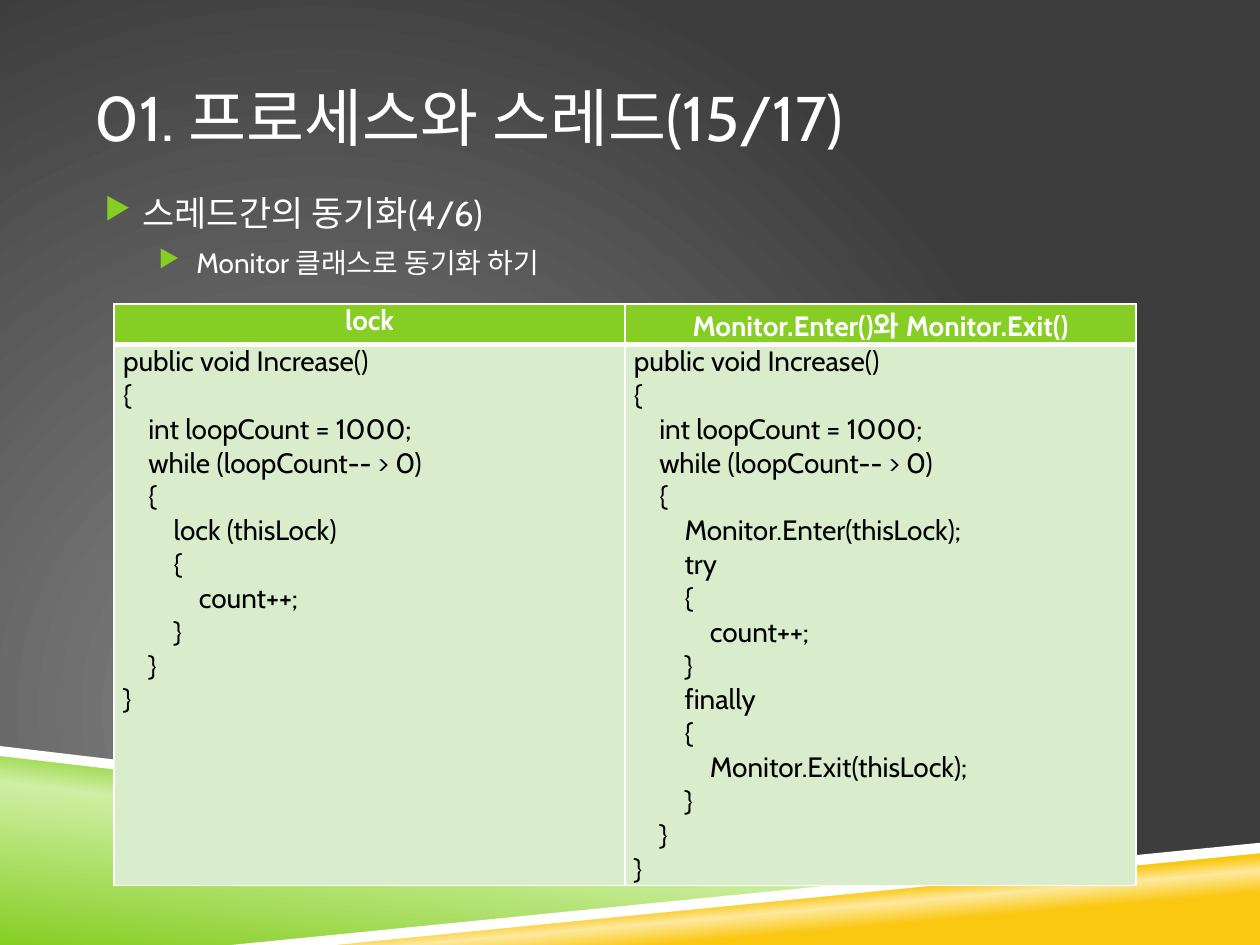
"""Build the slide that compares lock with the Monitor class."""
from lxml.etree import SubElement
from pptx import Presentation
from pptx.dml.color import RGBColor
from pptx.enum.text import MSO_ANCHOR as Anchor, PP_ALIGN as Align
from pptx.oxml.ns import qn
from pptx.util import Cm, Pt

FONT = "Cabin"
WHITE, BLACK, GREEN, PALE = "FFFFFF", "000000", "86CE24", "D9EDCD"
TITLE = "01. 프로세스와 스레드(15/17)"
BULLETS = [
    ("스레드간의 동기화(4/6)", 20, 0.97),
    ("Monitor 클래스로 동기화 하기", 16, 2.06),
]
LISTINGS = [
    ("lock", [
        "public void Increase()", "{", "int loopCount = 1000;",
        "while (loopCount-- > 0)", "{", "lock (thisLock)", "{",
        "count++;", "}", "}", "}",
    ]),
    ("Monitor.Enter()와 Monitor.Exit()", [
        "public void Increase()", "{", "int loopCount = 1000;",
        "while (loopCount-- > 0)", "{", "Monitor.Enter(thisLock);",
        "try", "{", "count++;", "}", "finally", "{",
        "Monitor.Exit(thisLock);", "}", "}", "}",
    ]),
]
BACKDROP = [(0, "878787"), (100, "3D3D3D")]
GREEN_STOPS = [(0, GREEN), (52, "CFEFA4"), (66, GREEN)]
GOLD_STOPS = [(28, "FAC810"), (40, "FDE99F"), (48, "FAC810")]
BANDS = [
    ([(0, 15.16), (20.12, 17.58), (5.08, 19.05), (0, 19.05)], GREEN_STOPS, 277),
    ([(5.03, 19.05), (25.4, 17.07), (25.4, 19.05)], GOLD_STOPS, 265),
    ([(0, 15.04), (0, 15.24), (20.07, 17.6), (21.13, 17.53)], None, None),
    ([(25.4, 16.99), (4.67, 19.05), (6.76, 19.05), (25.4, 17.2)], None, None),
]
TABLE_LEFT, TABLE_TOP, COLUMN_WIDTH = 2.3, 6.13, 10.3
ROW_HEIGHTS = (0.82, 10.9)
CODE_INDENT = 0.51


def color(value):
    return RGBColor.from_string(value)


def add_color(parent, value):
    SubElement(parent, qn("a:srgbClr"), val=value)


def use_gradient(parent, stops, angle=None):
    solid = parent.find(qn("a:solidFill"))
    gradient = SubElement(parent, qn("a:gradFill"), rotWithShape="1")
    parent.replace(solid, gradient)
    stop_list = SubElement(gradient, qn("a:gsLst"))
    for position, value in stops:
        add_color(SubElement(stop_list, qn("a:gs"), pos=str(position * 1000)), value)
    if angle is None:
        focus = SubElement(gradient, qn("a:path"), path="circle")
        SubElement(focus, qn("a:fillToRect"), l="50000", t="100000", r="100000", b="50000")
    else:
        SubElement(gradient, qn("a:lin"), ang=str(angle * 60000), scaled="0")


def add_band(page, points, stops, angle):
    corners = [(Cm(x), Cm(y)) for x, y in points]
    builder = page.shapes.build_freeform(*corners[0], scale=1.0)
    builder.add_line_segments(corners[1:], close=True)
    band = builder.convert_to_shape()
    band.shadow.inherit = False
    band.line.fill.background()
    band.fill.solid()
    band.fill.fore_color.rgb = color(WHITE)
    if stops:
        use_gradient(band.element.spPr, stops, angle)


def add_box(page, top, height, anchor):
    box = page.shapes.add_textbox(Cm(1.9), Cm(top), Cm(21.6), Cm(height))
    frame = box.text_frame
    frame.word_wrap = True
    frame.margin_left = frame.margin_right = 0
    frame.vertical_anchor = anchor
    return frame


def add_span(para, text, size, value, bold=False):
    span = para.add_run()
    span.text = text
    font = span.font
    font.name, font.size, font.bold = FONT, Pt(size), bold
    font.color.rgb = color(value)


def add_paras(frame, count):
    return [frame.paragraphs[0]] + [frame.add_paragraph() for _ in range(count - 1)]


def add_bullet(para, indent):
    para.space_before = Pt(7)
    props = para._p.get_or_add_pPr()
    props.set("marL", str(Cm(indent)))
    props.set("indent", str(-Cm(0.76)))
    add_color(SubElement(props, qn("a:buClr")), GREEN)
    SubElement(props, qn("a:buSzPct"), val="85000")
    SubElement(props, qn("a:buChar"), char="▶")


def style_cell(cell, fill, bottom):
    cell.margin_left = cell.margin_right = Cm(0.18)
    cell.margin_top = cell.margin_bottom = 0
    props = cell._tc.get_or_add_tcPr()
    for side, width in (("L", 1), ("R", 1), ("T", 1), ("B", bottom)):
        line = SubElement(props, qn(f"a:ln{side}"), w=str(Pt(width)))
        add_color(SubElement(line, qn("a:solidFill")), WHITE)
    cell.fill.solid()
    cell.fill.fore_color.rgb = color(fill)


def add_code(frame, lines):
    depth = 0
    for para, text in zip(add_paras(frame, len(lines)), lines):
        depth -= text == "}"
        para.alignment = Align.LEFT
        para._p.get_or_add_pPr().set("marL", str(Cm(CODE_INDENT * depth)))
        add_span(para, text, 16, BLACK)
        depth += text == "{"


def add_listings(page):
    count = len(LISTINGS)
    table = page.shapes.add_table(
        2, count, Cm(TABLE_LEFT), Cm(TABLE_TOP),
        Cm(COLUMN_WIDTH * count), Cm(sum(ROW_HEIGHTS))).table
    table.horz_banding = False
    for row, height in zip(table.rows, ROW_HEIGHTS):
        row.height = Cm(height)
    for index, (heading, lines) in enumerate(LISTINGS):
        table.columns[index].width = Cm(COLUMN_WIDTH)
        head, body = table.cell(0, index), table.cell(1, index)
        style_cell(head, GREEN, 3)
        style_cell(body, PALE, 1)
        para = head.text_frame.paragraphs[0]
        para.alignment = Align.CENTER
        add_span(para, heading, 16, WHITE, bold=True)
        add_code(body.text_frame, lines)


def main():
    deck = Presentation()
    deck.slide_width, deck.slide_height = Cm(25.4), Cm(19.05)
    page = deck.slides.add_slide(deck.slide_layouts[6])
    page.background.fill.solid()
    use_gradient(page.element.find(".//" + qn("p:bgPr")), BACKDROP)
    for band in BANDS:
        add_band(page, *band)
    title = add_box(page, 0.76, 3.18, Anchor.MIDDLE)
    add_span(title.paragraphs[0], TITLE, 36, WHITE)
    body = add_box(page, 3.73, 11.28, Anchor.TOP)
    for level, (text, size, indent) in enumerate(BULLETS):
        para = body.paragraphs[0] if level == 0 else body.add_paragraph()
        para.level = level
        add_bullet(para, indent)
        add_span(para, text, size, WHITE)
    add_listings(page)
    deck.save("out.pptx")


if __name__ == "__main__":
    main()
